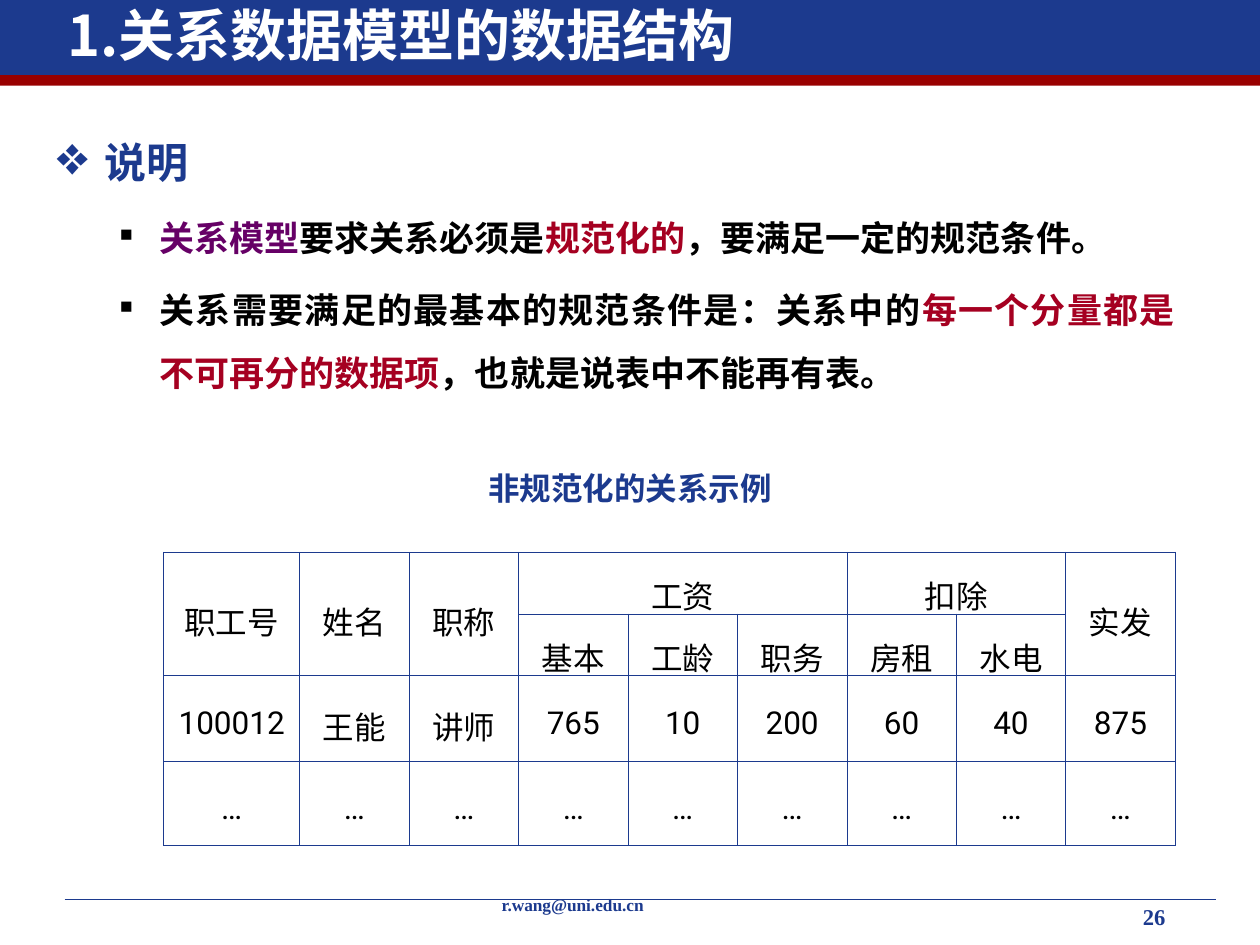
import pptx
import pptx.util
from pptx.dml.color import RGBColor
from pptx.enum.shapes import MSO_CONNECTOR, MSO_SHAPE
from pptx.enum.text import MSO_ANCHOR, PP_ALIGN
from pptx.oxml.ns import qn
from lxml import etree

Pt = pptx.util.Pt
COLORS = {"blue": "1C3A8E", "red": "990000", "crimson": "A50021",
          "purple": "660066", "black": "000000", "white": "FFFFFF"}
CJK, SERIF, SANS = "Noto Sans CJK SC", "Times New Roman", "Roboto"


def rgb(name):
    return RGBColor.from_string(COLORS[name])


def add_run(p, text, size=20, font=CJK, color="black", bold=True):
    r = p.add_run()
    r.text = text
    r.font.size, r.font.name, r.font.bold = Pt(size), font, bold
    r.font.color.rgb = rgb(color)
    ea = etree.SubElement(r._r.get_or_add_rPr(), qn("a:ea"))
    ea.set("typeface", CJK)


def add_bar(s, top, height, color):
    sp = s.shapes.add_shape(MSO_SHAPE.RECTANGLE, 0, Pt(top), Pt(720), Pt(height))
    sp.shadow.inherit = False
    sp.fill.solid()
    sp.fill.fore_color.rgb = rgb(color)
    sp.line.fill.background()


def add_rule(s, left, right, y):
    ln = s.shapes.add_connector(MSO_CONNECTOR.STRAIGHT, Pt(left), Pt(y), Pt(right), Pt(y))
    ln.line.color.rgb = rgb("blue")
    ln.line.width = Pt(0.75)
    etree.SubElement(ln._element.spPr, qn("a:effectLst"))


def set_title(s, text):
    sp = s.shapes.title
    sp.left, sp.top, sp.width, sp.height = Pt(31.2), Pt(-4.6), Pt(516), Pt(48)
    tf = sp.text_frame
    tf.vertical_anchor = MSO_ANCHOR.MIDDLE
    p = tf.paragraphs[0]
    p.alignment = PP_ALIGN.LEFT
    add_run(p, text, size=32, color="white")
    sp.element.getparent().append(sp.element)


def add_box(s, left, top, width, height):
    tf = s.shapes.add_textbox(Pt(left), Pt(top), Pt(width), Pt(height)).text_frame
    tf.word_wrap = True
    return tf


def add_label(s, box, text, spacing=1.0, align=PP_ALIGN.LEFT,
              anchor=MSO_ANCHOR.TOP, **fmt):
    tf = add_box(s, *box)
    tf.vertical_anchor = anchor
    p = tf.paragraphs[0]
    p.alignment, p.line_spacing = align, spacing
    add_run(p, text, font=SERIF, color="blue", **fmt)


def set_bullet(p, char, color, left, hang, scale):
    pPr = p._p.get_or_add_pPr()
    pPr.set("marL", str(Pt(left)))
    pPr.set("indent", str(-Pt(hang)))
    clr = etree.SubElement(etree.SubElement(pPr, qn("a:buClr")), qn("a:srgbClr"))
    clr.set("val", COLORS[color])
    etree.SubElement(pPr, qn("a:buSzPct")).set("val", str(scale * 1000))
    etree.SubElement(pPr, qn("a:buChar")).set("char", char)


def add_bullet(p, runs, char="■", color="black", size=20, before=5,
               left=58.5, hang=22.5, scale=50):
    p.alignment, p.line_spacing, p.space_before = PP_ALIGN.JUSTIFY, 1.5, Pt(before)
    set_bullet(p, char, color, left, hang, scale)
    for text, run_color in runs:
        add_run(p, text, size=size, color=run_color)


def add_body(s):
    tf = add_box(s, 25.5, 60, 653, 193)
    add_bullet(tf.paragraphs[0], [("说明", "blue")], char="❖", color="blue",
               size=24, before=6, left=27, hang=27, scale=130)
    add_bullet(tf.add_paragraph(), [
        ("关系模型", "purple"), ("要求关系必须是", "black"),
        ("规范化的", "crimson"), ("，要满足一定的规范条件。", "black")])
    add_bullet(tf.add_paragraph(), [
        ("关系需要满足的最基本的规范条件是：关系中的", "black"),
        ("每一个分量都是不可再分的数据项", "crimson"),
        ("，也就是说表中不能再有表。", "black")])


def set_borders(cell):
    tcPr = cell._tc.get_or_add_tcPr()
    for i, side in enumerate(("lnL", "lnR", "lnT", "lnB")):
        ln = etree.Element(qn("a:" + side), w=str(Pt(0.45)))
        fill = etree.SubElement(ln, qn("a:solidFill"))
        etree.SubElement(fill, qn("a:srgbClr")).set("val", COLORS["blue"])
        tcPr.insert(i, ln)


def add_salary_table(s):
    rows = [["职工号", "姓名", "职称", "工资", "", "", "扣除", "", "实发"],
            ["", "", "", "基本", "工龄", "职务", "房租", "水电", ""],
            ["100012", "王能", "讲师", "765", "10", "200", "60", "40", "875"],
            ["…"] * 9]
    heights = [29.5, 29.5, 49, 48]
    widths = [77.8] + [62.55] * 8
    tbl = s.shapes.add_table(len(rows), len(widths), Pt(93.5), Pt(315.5),
                             Pt(sum(widths)), Pt(sum(heights))).table
    tbl.first_row = tbl.horz_banding = False
    for col, width in zip(tbl.columns, widths):
        col.width = Pt(width)
    for row, height in zip(tbl.rows, heights):
        row.height = Pt(height)
    for i, texts in enumerate(rows):
        for j, text in enumerate(texts):
            cell = tbl.cell(i, j)
            cell.fill.background()
            set_borders(cell)
            cell.vertical_anchor = MSO_ANCHOR.MIDDLE
            cell.margin_left = cell.margin_right = Pt(5.8)
            p = cell.text_frame.paragraphs[0]
            p.alignment, p.line_spacing = PP_ALIGN.CENTER, 1.3
            if text:
                add_run(p, text, size=18, font=SANS, bold=False)
    for j in (0, 1, 2, 8):
        tbl.cell(0, j).merge(tbl.cell(1, j))
    for first, last in ((3, 5), (6, 7)):
        tbl.cell(0, first).merge(tbl.cell(0, last))


def main():
    prs = pptx.Presentation()
    prs.slide_width, prs.slide_height = Pt(720), Pt(540)
    s = prs.slides.add_slide(prs.slide_layouts[5])
    add_bar(s, -2, 45, "blue")
    add_rule(s, 37, 695, 514)
    add_bar(s, 43, 6, "red")
    set_title(s, "1.关系数据模型的数据结构")
    add_body(s)
    add_label(s, (265, 264.5, 190, 29), "非规范化的关系示例", size=18,
              align=PP_ALIGN.CENTER, anchor=MSO_ANCHOR.MIDDLE)
    add_label(s, (646, 514, 71, 24), "26", spacing=0.9, size=12.9)
    add_label(s, (279.5, 510, 228, 19.5), "r.wang@uni.edu.cn", spacing=0.8, size=9.9)
    add_salary_table(s)
    prs.save("out.pptx")


if __name__ == "__main__":
    main()
